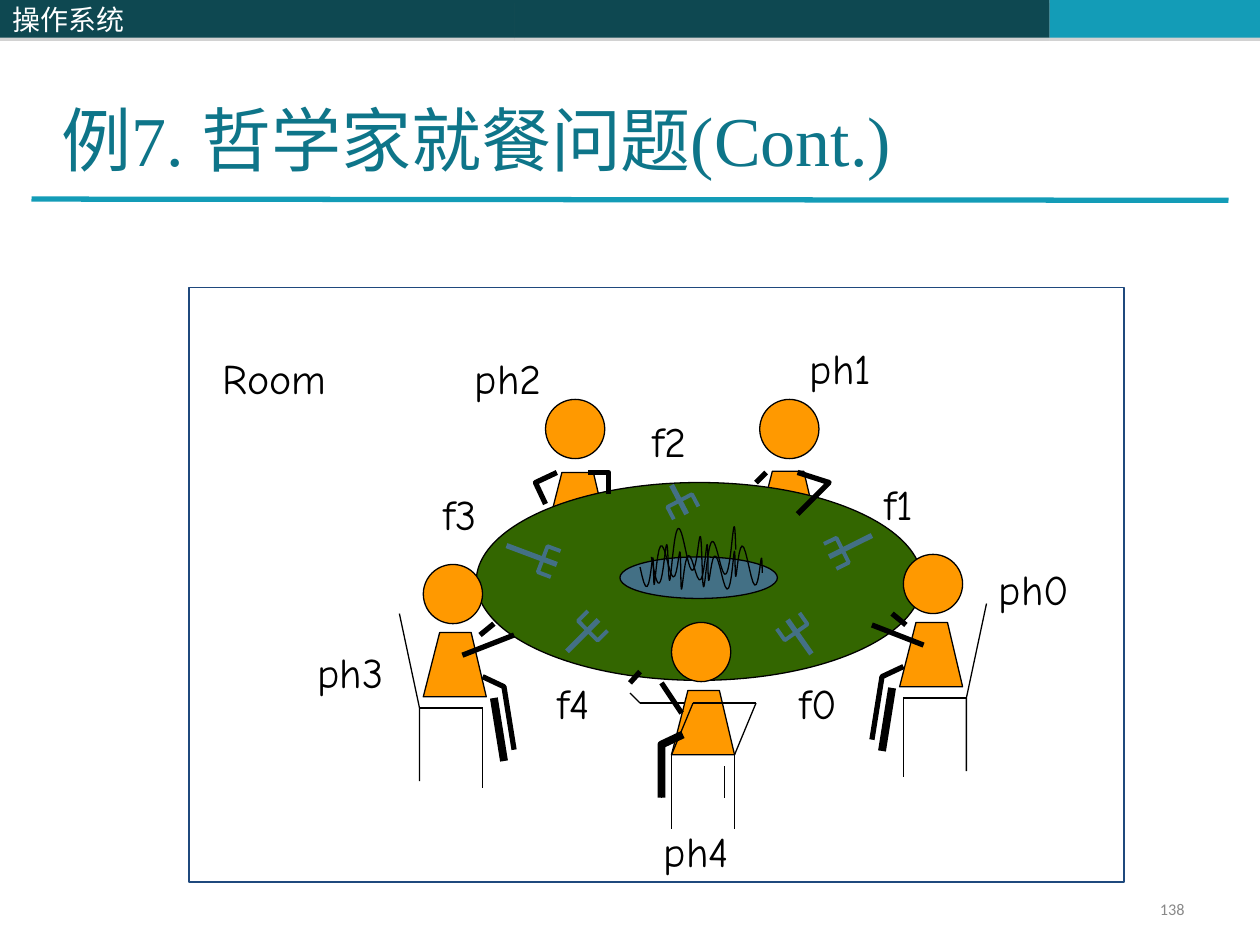
"""Build the dining philosophers slide: a room with five philosophers and five forks."""
from math import hypot, pi, sin
from lxml.etree import SubElement
from pptx import Presentation
from pptx.dml.color import RGBColor
from pptx.enum.shapes import MSO_CONNECTOR as CONNECTOR, MSO_SHAPE as SHAPE
from pptx.enum.text import MSO_ANCHOR as ANCHOR, PP_ALIGN as ALIGN
from pptx.oxml.ns import qn
from pptx.util import Inches, Pt

COLORS = {
    "dark": "0E4851", "teal": "139CB7", "title": "0E7589", "white": "FFFFFF",
    "gray": "898989", "shadow": "808080", "frame": "1F497D", "black": "000000",
    "orange": "FF9900", "table": "336600", "steel": "437085",
}
CJK_FONT = "Noto Sans CJK SC"
HEAD_SIZE = 0.47
LABEL_WIDTHS = {"R": 1.17, "p": 0.88, "f": 0.63}
LABELS = {
    "Room": (1.67, 2.75), "ph0": (7.83, 4.42), "ph1": (6.33, 2.67), "ph2": (3.67, 2.75),
    "ph3": (2.42, 5.08), "ph4": (5.17, 6.5), "f0": (6.25, 5.33), "f1": (6.92, 3.75),
    "f2": (5.08, 3.25), "f3": (3.42, 3.83), "f4": (4.33, 5.33),
}
FORKS = [
    ((4.5, 5.17), (4.75, 4.92)), ((6.44, 5.19), (6.25, 4.92)), ((6.92, 4.25), (6.58, 4.42)),
    ((5.33, 3.85), (5.45, 4.08)), ((4.02, 4.33), (4.42, 4.48)),
]


def rgb(name):
    return RGBColor.from_string(COLORS[name])


def paint(shape, fill=None, line=None, width=0.75):
    shape.shadow.inherit = False
    if fill:
        shape.fill.solid()
        shape.fill.fore_color.rgb = rgb(fill)
    else:
        shape.fill.background()
    if line:
        shape.line.color.rgb = rgb(line)
        shape.line.width = Pt(width)
    else:
        shape.line.fill.background()


def add_preset(slide, kind, box, fill=None, line=None):
    shape = slide.shapes.add_shape(kind, *map(Inches, box))
    paint(shape, fill, line)
    return shape


def add_outline(slide, points, fill=None, line="black", width=0.75, close=False):
    start, *rest = [(Inches(x), Inches(y)) for x, y in points]
    builder = slide.shapes.build_freeform(*start)
    builder.add_line_segments(rest, close=close)
    paint(builder.convert_to_shape(), fill, line, width)


def add_stroke(slide, points, width=0.75, color="black"):
    if len(points) > 2:
        add_outline(slide, points, line=color, width=width)
        return
    ends = [Inches(value) for point in points for value in point]
    stroke = slide.shapes.add_connector(CONNECTOR.STRAIGHT, *ends)
    stroke.line.color.rgb = rgb(color)
    stroke.line.width = Pt(width)
    SubElement(stroke._element.spPr, qn("a:effectLst"))


def write(shape, text, size, font, color, anchor=ANCHOR.TOP, align=ALIGN.LEFT):
    frame = shape.text_frame
    frame.word_wrap = True
    frame.vertical_anchor = anchor
    paragraph = frame.paragraphs[0]
    paragraph.text = text
    paragraph.alignment = align
    paragraph.font.size = Pt(size)
    paragraph.font.name = font
    paragraph.font.color.rgb = rgb(color)
    SubElement(paragraph.font._element, qn("a:ea"), typeface=CJK_FONT)


def add_text(slide, box, *style, **layout):
    write(slide.shapes.add_textbox(*map(Inches, box)), *style, **layout)


def add_bar(slide, left, width, fill):
    bar = add_preset(slide, SHAPE.RECTANGLE, (left, 0, width, 0.3), fill)
    effects = bar._element.spPr.find(qn("a:effectLst"))
    shadow = SubElement(effects, qn("a:outerShdw"), dist=str(Pt(1.8)), dir="5400000")
    tint = SubElement(shadow, qn("a:srgbClr"), val=COLORS["shadow"])
    SubElement(tint, qn("a:alpha"), val="35000")
    return bar


def add_head(slide, left, top):
    add_preset(slide, SHAPE.OVAL, (left, top, HEAD_SIZE, HEAD_SIZE), "orange", "black")


def add_torso(slide, left, top):
    corners = [(0, 0.51), (0.13, 0), (0.38, 0), (0.5, 0.51)]
    add_outline(slide, [(left + x, top + y) for x, y in corners], "orange", close=True)


def add_side_philosopher(slide, place, torso_left, head_left):
    """Draw a seated philosopher, with place mapping each point to its side of the table."""
    add_torso(slide, torso_left, place(0, 5.02)[1])
    add_head(slide, head_left, place(0, 4.48)[1])
    for width, points in (
        (0.75, [(3.17, 4.87), (3.33, 5.62), (3.33, 6.2)]),
        (0.75, [(3.83, 5.62), (3.83, 6.25)]),
        (0.75, [(3.33, 5.62), (3.83, 5.62)]),
        (4.5, [(3.92, 5.54), (4, 6.04)]),
        (3, [(3.83, 5.37), (4, 5.45), (4.08, 5.95)]),
        (3, [(3.67, 5.2), (4.08, 5.04)]),
        (3, [(3.81, 5.04), (3.92, 4.95)]),
    ):
        add_stroke(slide, [place(*point) for point in points], width)


def add_front_philosopher(slide):
    seat, back = 5.99, 5.58
    add_stroke(slide, [(5.08, back), (5.58, back)])
    add_stroke(slide, [(5, 5.5), (5.08, back)])
    add_stroke(slide, [(5.08, 5.33), (5, 5.42)], 3)
    add_torso(slide, 5.33, 5.48)
    for left in (5.33, 5.83):
        add_stroke(slide, [(left, seat), (left, 6.58)])
        add_stroke(slide, [(left, seat), (left + 0.17, back)])
    add_stroke(slide, [(5.5, back), (6, back)])
    add_head(slide, 5.33, 4.94)
    add_stroke(slide, [(5.25, seat), (5.25, 6.33)])
    add_stroke(slide, [(5.75, 6.08), (5.75, 6.33)])
    add_stroke(slide, [(5.25, 5.42), (5.41, 5.66)], 3)
    add_stroke(slide, [(5.42, 5.83), (5.25, 5.91), (5.25, 6.33)], 4.5)


def add_back_philosophers(slide):
    add_head(slide, 6.03, 3.17)
    add_head(slide, 4.33, 3.17)
    for arm in (
        [(6.33, 3.75), (6.58, 3.83), (6.33, 4.08)],
        [(6.08, 3.75), (6, 3.83)],
        [(4.42, 3.75), (4.25, 3.83), (4.33, 4)],
        [(4.67, 3.75), (4.83, 3.75), (4.83, 3.92)],
    ):
        add_stroke(slide, arm, 3)


def add_noodle(slide, left, width, middle, height, waves, steps=120):
    points = []
    for step in range(steps + 1):
        part = step / steps
        turn = 2 * pi * waves * part
        swing = height / 2 * (0.7 * sin(turn) + 0.3 * sin(turn * 0.37))
        points.append((left + width * part + 0.03 * sin(turn / 2), middle + swing))
    add_outline(slide, points)


def add_fork(slide, handle, tip):
    dx, dy = tip[0] - handle[0], tip[1] - handle[1]
    length = hypot(dx, dy)
    dx, dy = dx / length, dy / length
    prongs = [(tip[0] - back * dx - side * dy, tip[1] - back * dy + side * dx)
              for back, side in ((0.01, -0.11), (0.12, -0.11), (0.12, 0.11), (0.01, 0.11))]
    add_stroke(slide, [handle, tip], 3, "steel")
    add_stroke(slide, prongs, 2.25, "steel")


def add_header(slide):
    add_bar(slide, 4.08, 4.25, "dark")
    add_bar(slide, 8.33, 1.67, "teal")
    add_stroke(slide, [(0.25, 1.58), (9.75, 1.59)], 3, "teal")
    write(add_bar(slide, 0, 4.08, "dark"), "操作系统", 16, CJK_FONT, "white", ANCHOR.MIDDLE)
    add_text(slide, (0.39, 0.23, 8.52, 1.25), "例7. 哲学家就餐问题(Cont.)", 40,
             "Times New Roman", "title", anchor=ANCHOR.BOTTOM)
    add_text(slide, (7.17, 7.08, 2.33, 0.27), "138", 9.3, "Calibri", "gray",
             anchor=ANCHOR.MIDDLE, align=ALIGN.RIGHT)


def add_room(slide):
    add_preset(slide, SHAPE.RECTANGLE, (1.5, 2.28, 7.42, 4.72), line="frame")
    add_torso(slide, 4.33, 3.75)
    add_torso(slide, 6, 3.74)
    add_preset(slide, SHAPE.OVAL, (3.78, 3.83, 3.54, 1.57), "table", "black")
    add_side_philosopher(slide, lambda x, y: (x, y), 3.36, 3.36)
    add_side_philosopher(slide, lambda x, y: (11 - x, y - 0.08), 7.14, 7.17)
    add_front_philosopher(slide)
    add_back_philosophers(slide)
    add_preset(slide, SHAPE.OVAL, (4.92, 4.42, 1.25, 0.33), "steel", "black")
    add_noodle(slide, 5.17, 0.67, 4.42, 0.48, 5)
    add_noodle(slide, 5.08, 0.97, 4.5, 0.36, 9)
    for handle, tip in FORKS:
        add_fork(slide, handle, tip)
    for name, corner in LABELS.items():
        add_text(slide, (*corner, LABEL_WIDTHS[name[0]], 0.5), name, 24, "Comic Neue", "black")


def main():
    deck = Presentation()
    deck.slide_width, deck.slide_height = Inches(10), Inches(7.5)
    slide = deck.slides.add_slide(deck.slide_layouts[6])
    add_header(slide)
    add_room(slide)
    deck.save("out.pptx")


if __name__ == "__main__":
    main()
